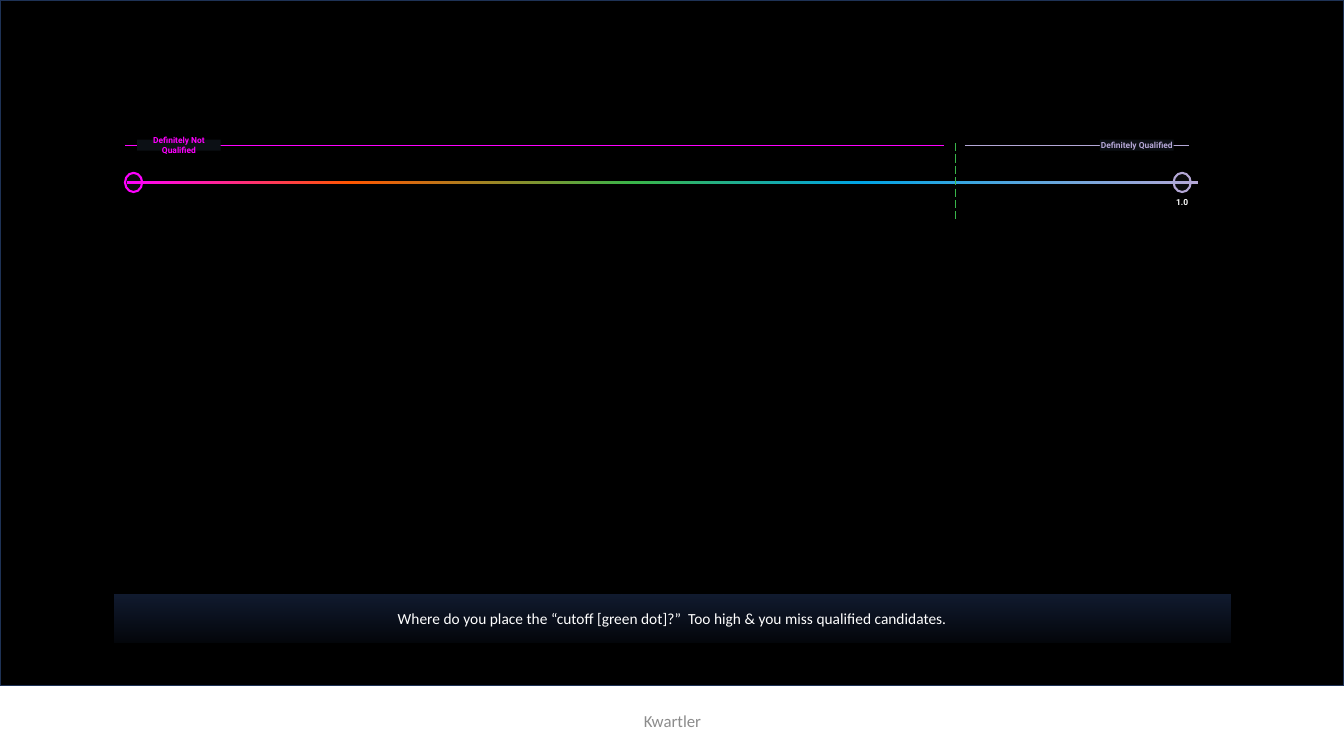
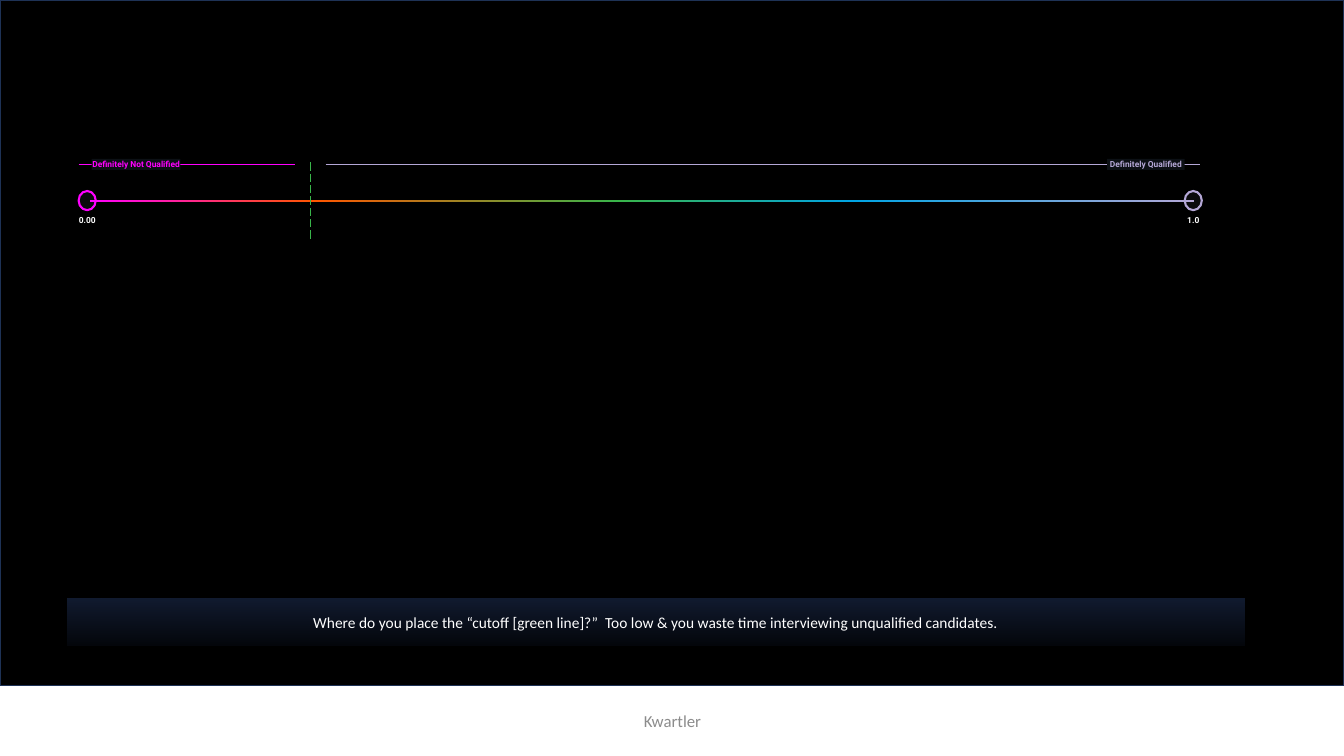
from dataclasses import dataclass
from itertools import pairwise

from lxml import etree
from pptx import Presentation
from pptx.dml.color import RGBColor
from pptx.enum import dml, shapes, text
from pptx.oxml import ns
from pptx.util import Inches, Pt


@dataclass(frozen=True)
class Theme:
    black: str = "000000"
    white: str = "FFFFFF"
    navy: str = "1E3256"
    caption: str = "1A2846"
    tag: str = "0C1015"
    dot: str = "0A0A0C"
    grey: str = "8C8C8C"
    magenta: str = "FF00FF"
    orange: str = "FF5600"
    green: str = "39B54A"
    blue: str = "00A4E4"
    lilac: str = "B4A7D6"
    label_font: str = "Roboto"
    body_font: str = "Calibri"
    label_size: float = 6
    caption_size: float = 11
    footer_size: float = 12


THEME = Theme()
SCALE_COLORS = (THEME.magenta, THEME.orange, THEME.green, THEME.blue, THEME.lilac)


@dataclass(frozen=True)
class Area:
    left: float
    top: float
    width: float
    height: float

    def lengths(self) -> tuple:
        return tuple(Inches(v) for v in (self.left, self.top, self.width, self.height))


@dataclass(frozen=True)
class End:
    """One end of the scale: its dot, its tag and an optional number."""
    color: str
    dot_left: float
    tag: str
    tag_left: float
    tag_width: float
    number: str = ""


@dataclass(frozen=True)
class CutoffSlide:
    bracket_y: float
    scale_y: float
    cutoff_x: float
    gap_before: float
    gap_after: float
    joints: tuple[float, ...]
    bar_height: float
    number_top: float
    low: End
    high: End
    caption: str
    caption_area: Area


DOT_WIDTH, DOT_HEIGHT = 0.17, 0.19
TAG_HEIGHT = 0.11
NUMBER_WIDTH, NUMBER_HEIGHT = 0.68, 0.55
CUTOFF_RISE, CUTOFF_LENGTH = 0.02, 0.78
LOW_TAG, HIGH_TAG = "Definitely Not Qualified", "Definitely Qualified"

SLIDES = (
    CutoffSlide(
        bracket_y=1.44, scale_y=1.81, cutoff_x=9.48, gap_before=0.12, gap_after=0.09,
        joints=(1.26, 3.47, 6.3, 8.53, 11.88), bar_height=0.03, number_top=1.91,
        low=End(THEME.magenta, 1.24, LOW_TAG, 1.36, 0.83),
        high=End(THEME.lilac, 11.64, HIGH_TAG, 10.91, 0.73, "1.0"),
        caption="Where do you place the “cutoff [green dot]?”  "
                "Too high & you miss qualified candidates.",
        caption_area=Area(1.14, 5.9, 11.06, 0.47),
    ),
    CutoffSlide(
        bracket_y=1.63, scale_y=1.99, cutoff_x=3.08, gap_before=0.15, gap_after=0.15,
        joints=(0.89, 3.12, 6.12, 8.46, 11.84), bar_height=0.02, number_top=2.08,
        low=End(THEME.magenta, 0.78, LOW_TAG, 0.91, 0.88, "0.00"),
        high=End(THEME.lilac, 11.75, HIGH_TAG, 10.98, 0.77, "1.0"),
        caption="Where do you place the “cutoff [green line]?”  "
                "Too low & you waste time interviewing unqualified candidates.",
        caption_area=Area(0.67, 5.94, 11.67, 0.46),
    ),
)


def rgb(color: str) -> RGBColor:
    return RGBColor.from_string(color)


def add_figure(page, kind, area: Area, fill: str = "", line: str = "", weight: float = 1):
    figure = page.shapes.add_shape(kind, *area.lengths())
    figure.shadow.inherit = False
    if fill:
        figure.fill.solid()
        figure.fill.fore_color.rgb = rgb(fill)
    if line:
        figure.line.color.rgb = rgb(line)
        figure.line.width = Pt(weight)
    else:
        figure.line.fill.background()
    return figure


def set_gradient(figure, colors: tuple[str, str], angle: float, alphas: tuple = ()) -> None:
    """Fill with two stops; alphas are opacities in percent."""
    figure.fill.gradient()
    figure.fill.gradient_angle = angle
    for stop, color in zip(figure.fill.gradient_stops, colors):
        stop.color.rgb = rgb(color)
    tones = figure.element.spPr.iterfind(".//" + ns.qn("a:gs") + "/" + ns.qn("a:srgbClr"))
    for tone, alpha in zip(tones, alphas):
        etree.SubElement(tone, ns.qn("a:alpha"), val=str(alpha * 1000))


def write(box, words: str, font: str, size: float, color: str, bold: bool = False,
          inset: float = 0, anchor=text.MSO_ANCHOR.MIDDLE) -> None:
    frame = box.text_frame
    frame.text = words
    frame.word_wrap = True
    frame.vertical_anchor = anchor
    frame.margin_left = frame.margin_right = Inches(inset)
    frame.margin_top = frame.margin_bottom = Inches(inset)
    para = frame.paragraphs[0]
    para.alignment = text.PP_ALIGN.CENTER
    span = para.runs[0].font
    span.name, span.size, span.bold = font, Pt(size), bold
    span.color.rgb = rgb(color)


def add_line(page, start: tuple[float, float], end: tuple[float, float], color: str):
    points = (Inches(v) for v in (*start, *end))
    line = page.shapes.add_connector(shapes.MSO_CONNECTOR.STRAIGHT, *points)
    line.line.color.rgb = rgb(color)
    line.line.width = Pt(0.75)
    etree.SubElement(line.element.spPr, ns.qn("a:effectLst"))
    return line


def add_backdrop(page) -> None:
    add_figure(page, shapes.MSO_SHAPE.RECTANGLE, Area(0, 0, 13.33, 6.8),
               THEME.black, THEME.navy)


def add_footer(page) -> None:
    box = page.shapes.add_textbox(*Area(4.42, 6.95, 4.5, 0.4).lengths())
    write(box, "Kwartler", THEME.body_font, THEME.footer_size, THEME.grey, inset=0.05)


def add_brackets(page, plan: CutoffSlide) -> None:
    y = plan.bracket_y
    right = plan.high.dot_left + DOT_WIDTH - 0.02
    add_line(page, (plan.cutoff_x + plan.gap_after, y), (right, y), plan.high.color)
    add_line(page, (plan.low.dot_left, y), (plan.cutoff_x - plan.gap_before, y),
             plan.low.color)


def add_end(page, end: End, plan: CutoffSlide) -> None:
    dot = Area(end.dot_left, plan.scale_y - DOT_HEIGHT / 2, DOT_WIDTH, DOT_HEIGHT)
    add_figure(page, shapes.MSO_SHAPE.OVAL, dot, THEME.dot, end.color, 1.5)
    if end.number:
        left = end.dot_left + (DOT_WIDTH - NUMBER_WIDTH) / 2
        area = Area(left, plan.number_top, NUMBER_WIDTH, NUMBER_HEIGHT)
        box = page.shapes.add_textbox(*area.lengths())
        write(box, end.number, THEME.label_font, THEME.label_size, THEME.white,
              bold=True, inset=0.05, anchor=text.MSO_ANCHOR.TOP)
    area = Area(end.tag_left, plan.bracket_y - TAG_HEIGHT / 2, end.tag_width, TAG_HEIGHT)
    tag = add_figure(page, shapes.MSO_SHAPE.RECTANGLE, area, THEME.tag)
    write(tag, end.tag, THEME.label_font, THEME.label_size, end.color, bold=True)


def add_scale(page, plan: CutoffSlide) -> None:
    top = plan.scale_y - plan.bar_height / 2
    for (left, right), colors in zip(pairwise(plan.joints), pairwise(SCALE_COLORS)):
        bar = add_figure(page, shapes.MSO_SHAPE.RECTANGLE,
                         Area(left, top, right - left, plan.bar_height))
        set_gradient(bar, colors, angle=0)


def add_cutoff(page, plan: CutoffSlide) -> None:
    top = plan.bracket_y - CUTOFF_RISE
    line = add_line(page, (plan.cutoff_x, top), (plan.cutoff_x, top + CUTOFF_LENGTH),
                    THEME.green)
    line.line.dash_style = dml.MSO_LINE.LONG_DASH


def add_caption(page, plan: CutoffSlide) -> None:
    band = add_figure(page, shapes.MSO_SHAPE.RECTANGLE, plan.caption_area)
    set_gradient(band, (THEME.caption, THEME.caption), angle=270, alphas=(70, 15))
    write(band, plan.caption, THEME.body_font, THEME.caption_size, THEME.white, inset=0.1)


def build_slide(deck, plan: CutoffSlide) -> None:
    page = deck.slides.add_slide(deck.slide_layouts[6])
    add_backdrop(page)
    add_brackets(page, plan)
    for end in (plan.low, plan.high):
        add_end(page, end, plan)
    add_scale(page, plan)
    add_cutoff(page, plan)
    add_caption(page, plan)
    add_footer(page)


def main() -> None:
    deck = Presentation()
    deck.slide_width, deck.slide_height = Inches(13.33), Inches(7.5)
    for plan in SLIDES:
        build_slide(deck, plan)
    deck.save("out.pptx")


if __name__ == "__main__":
    main()
